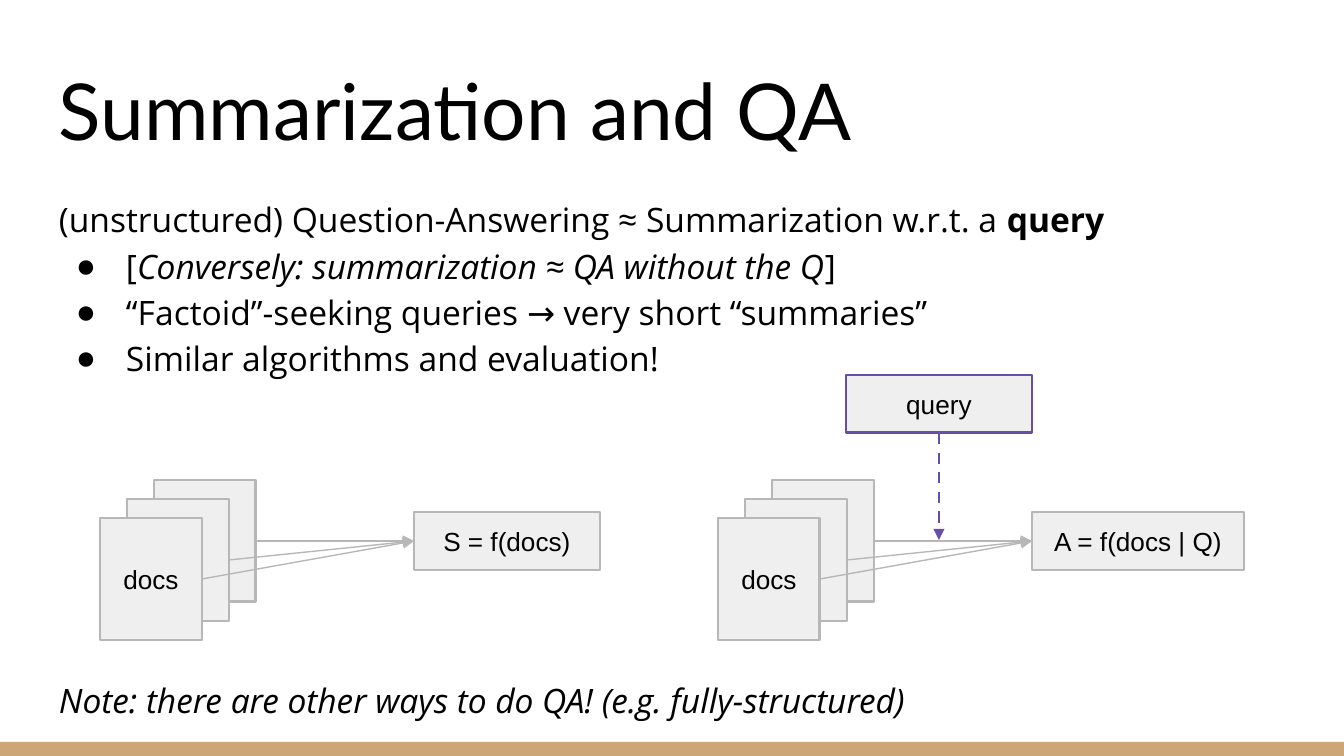
"""Build the slide on summarization and question answering."""
from dataclasses import dataclass

from lxml.etree import SubElement
from pptx import Presentation
from pptx.dml.color import RGBColor as RGB
from pptx.enum.dml import MSO_LINE as Dash
from pptx.enum.shapes import MSO_CONNECTOR as Link, MSO_SHAPE as Kind
from pptx.enum.text import MSO_ANCHOR as Anchor, MSO_AUTO_SIZE as Fit, PP_ALIGN as Align
from pptx.oxml.ns import qn
from pptx.util import Pt


@dataclass(frozen=True)
class Theme:
    ink: RGB = RGB(0, 0, 0)
    fill: RGB = RGB(0xEF, 0xEF, 0xEF)
    edge: RGB = RGB(0xB7, 0xB7, 0xB7)
    query: RGB = RGB(0x67, 0x4E, 0xA7)
    bar: RGB = RGB(0xCC, 0xA6, 0x77)
    head: Pt = Pt(42)
    body: Pt = Pt(18)
    label: Pt = Pt(14)
    thin: Pt = Pt(0.75)
    thick: Pt = Pt(1.5)


theme = Theme()
PX = 9144000 / 1344
PAD = 13


def put_box(x, y, w, h, text, edge, width):
    box = slide.shapes.add_shape(Kind.RECTANGLE, *(round(n * PX) for n in (x, y, w, h)))
    box.shadow.inherit = False
    box.fill.solid()
    box.fill.fore_color.rgb = theme.fill
    box.line.color.rgb = edge
    box.line.width = width
    if text:
        box.text_frame.text = text
        box.text_frame.vertical_anchor = Anchor.MIDDLE
        para = box.text_frame.paragraphs[0]
        para.alignment = Align.CENTER
        para.font.name, para.font.size = "Arial", theme.label
        para.font.color.rgb = theme.ink
    return box


def put_arrow(start, side, end, color, width):
    x, y = (round(n * PX) for n in end)
    arrow = slide.shapes.add_connector(Link.STRAIGHT, x, y, x, y)
    arrow.begin_connect(start, side)
    arrow.line.color.rgb = color
    arrow.line.width = width
    SubElement(arrow.line._get_or_add_ln(), qn("a:tailEnd"), type="triangle")
    SubElement(arrow._element.spPr, qn("a:effectLst"))
    return arrow


deck = Presentation()
deck.slide_width, deck.slide_height = round(1344 * PX), round(756 * PX)
slide = deck.slides.add_slide(deck.slide_layouts[3])

bar = slide.shapes.add_shape(Kind.RECTANGLE, 0, round(742 * PX), deck.slide_width, round(14 * PX))
bar.shadow.inherit = False
bar.fill.solid()
bar.fill.fore_color.rgb = theme.bar
bar.line.fill.background()

title = [[("Summarization and QA", "")]]
points = [
    [("(unstructured) Question-Answering ≈ Summarization w.r.t. a ", ""), ("query", "b")],
    [("[", ""), ("Conversely: summarization ≈ QA without the Q", "i"), ("]", "")],
    [("“Factoid”-seeking queries → very short “summaries”", "")],
    [("Similar algorithms and evaluation!", "")],
]
note = [[("Note: there are other ways to do QA! (e.g. fully-structured)", "i")]]
blocks = [
    (47, 122, title, "Lato", theme.head, 1, Anchor.BOTTOM),
    (180, 173, points, "Open Sans", theme.body, 1.15, Anchor.TOP),
    (661, 155, note, "Open Sans", theme.body, 1.15, Anchor.TOP),
]
for holder, (y, h, lines, font, size, gap, anchor) in zip(slide.placeholders, blocks):
    holder.left, holder.top, holder.width, holder.height = (
        round(n * PX) for n in (46, y, 1253, h))
    frame = holder.text_frame
    frame.auto_size, frame.word_wrap = Fit.NONE, True
    frame.vertical_anchor = anchor
    frame.margin_left = frame.margin_right = round(PAD * PX)
    frame.margin_top = frame.margin_bottom = round(PAD * PX)
    for i, line in enumerate(lines):
        para = frame.add_paragraph() if i else frame.paragraphs[0]
        para.alignment = Align.LEFT
        para.line_spacing, para.space_before = gap, Pt(0)
        para.font.name, para.font.size = font, size
        para.font.color.rgb = theme.ink
        for text, style in line:
            run = para.add_run()
            run.text = text
            if style:
                run.font.bold, run.font.italic = style == "b", style == "i"
        props = para._p.get_or_add_pPr()
        props.set("marL", str(round(67 * PX) if i else 0))
        props.set("indent", str(round(-50 * PX) if i else 0))
        mark = SubElement(props, qn("a:buChar" if i else "a:buNone"))
        if i:
            mark.set("char", "●")
        props.append(props.find(qn("a:defRPr")))

for x, w, text in [(100, 186, "S = f(docs)"), (718, 212, "A = f(docs | Q)")]:
    goal = put_box(x + 314, 512, w, 58, text, theme.edge, theme.thin)
    docs = [
        put_box(x + 27 * i, 518 - 19 * i, 102, 122, "" if i else "docs", theme.edge, theme.thick)
        for i in (2, 1, 0)
    ]
    for doc in docs:
        arrow = put_arrow(doc, 3, (x + 314, 541), theme.edge, theme.thin)
        arrow.end_connect(goal, 1)

query = put_box(846, 375, 186, 58, "query", theme.query, theme.thick)
arrow = put_arrow(query, 2, (939, 540), theme.query, theme.thick)
arrow.line.dash_style = Dash.DASH

deck.save("out.pptx")
